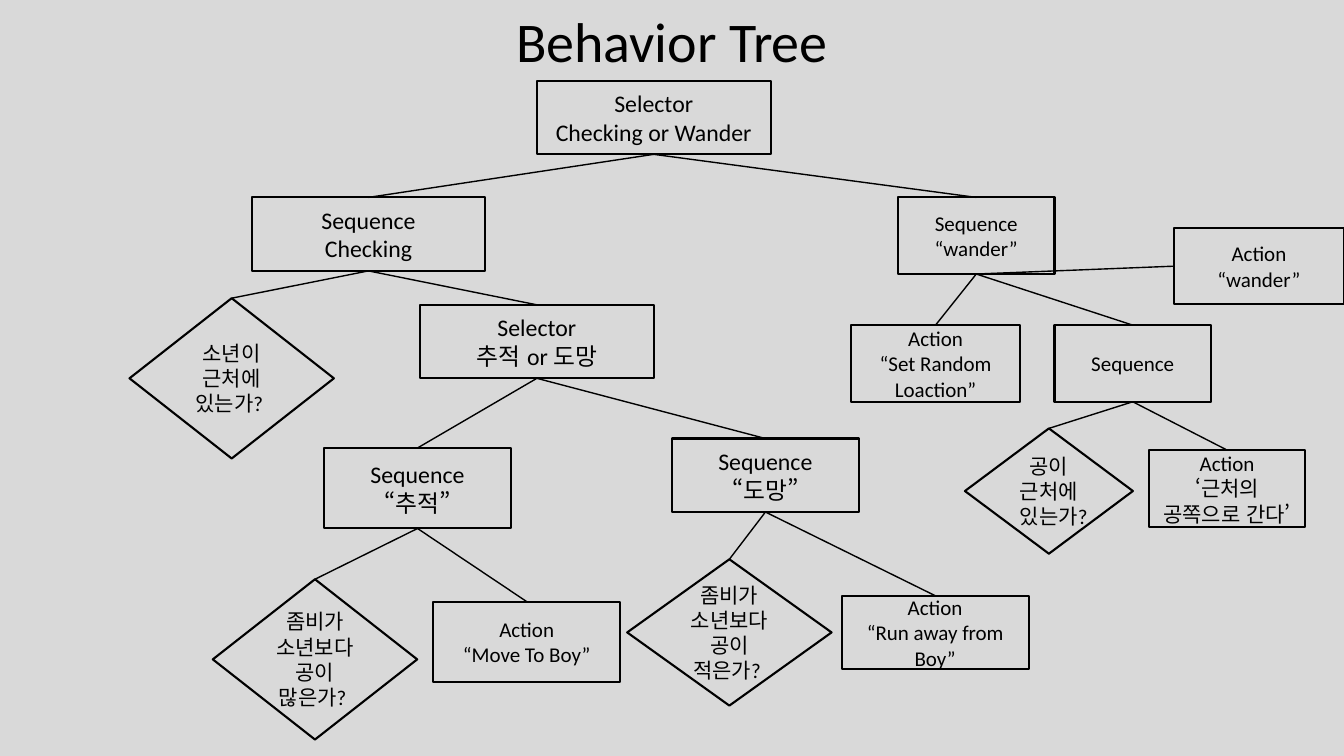
from dataclasses import dataclass

from lxml import etree
from pptx import Presentation
from pptx.dml.color import RGBColor
from pptx.enum.lang import MSO_LANGUAGE_ID
from pptx.enum.shapes import MSO_CONNECTOR, MSO_SHAPE
from pptx.enum.text import MSO_ANCHOR, PP_ALIGN
from pptx.oxml.ns import qn
from pptx.shapes.autoshape import Shape
from pptx.slide import Slide
from pptx.text.text import TextFrame
from pptx.util import Pt

RECTANGLE = MSO_SHAPE.RECTANGLE
DIAMOND = MSO_SHAPE.DIAMOND
STRAIGHT = MSO_CONNECTOR.STRAIGHT
MIDDLE = MSO_ANCHOR.MIDDLE
CENTER = PP_ALIGN.CENTER
KOREAN = MSO_LANGUAGE_ID.KOREAN
ENGLISH = MSO_LANGUAGE_ID.ENGLISH_US
TOP_SITE, LEFT_SITE, BOTTOM_SITE = 0, 1, 2
TITLE_ONLY = 5


@dataclass(frozen=True)
class Theme:
    font: str = "Calibri"
    ink: RGBColor = RGBColor(0x00, 0x00, 0x00)
    background: RGBColor = RGBColor(0xD9, 0xD9, 0xD9)
    title_size: float = 40
    branch_size: float = 17
    leaf_size: float = 15
    outline: float = 1.5
    link: float = 1


THEME = Theme()


@dataclass(frozen=True)
class Node:
    key: str
    parent: str
    text: str
    left: float
    top: float
    width: float
    height: float
    size: float = THEME.leaf_size
    shape: MSO_SHAPE = RECTANGLE
    entry: int = TOP_SITE
    inset: float = 7.2


BRANCH = THEME.branch_size
NODES = [
    Node("root", "", "Selector\nChecking or Wander", 383.5, 57.75, 167, 52.5, BRANCH),
    Node("checking", "root", "Sequence\nChecking", 179.75, 141, 167, 52.5, BRANCH),
    Node("boy near", "checking", "소년이 근처에 있는가? ", 92.5, 213, 146, 114.5, shape=DIAMOND),
    Node("chase or flee", "checking", "Selector\n추적 or 도망", 300, 217.75, 167, 52.5, BRANCH),
    Node("chase", "chase or flee", "Sequence\n“추적”", 231.5, 320, 133.5, 57.5, BRANCH),
    Node("more balls", "chase", "좀비가 소년보다 공이 많은가? ", 152, 413.75, 146, 114.5, shape=DIAMOND),
    Node("move to boy", "chase", "Action\n“Move To Boy”", 309.5, 429.75, 133.5, 57.5),
    Node("flee", "chase or flee", "Sequence\n“도망”", 480, 313.25, 133.5, 52.5, BRANCH),
    Node("fewer balls", "flee", "좀비가 소년보다 공이 적은가? ", 448, 399.5, 146, 104.5, shape=DIAMOND),
    Node("run away", "flee", "Action\n“Run away from Boy”", 601.25, 425.5, 133.5, 52.5),
    Node("wander", "root", "Sequence\n“wander”", 641.5, 141, 111.75, 54.75),
    Node("set location", "wander", "Action\n“Set Random Loaction”", 607.75, 232.25, 121, 54.75),
    Node("ball sequence", "wander", "Sequence", 753.25, 232.25, 111.75, 54.75),
    Node("ball near", "ball sequence", "공이 근처에 있는가?", 689.25, 306, 120, 89.5, shape=DIAMOND),
    Node("go to ball", "ball sequence", "Action\n‘근처의 공쪽으로 간다’", 820.75, 321.5, 111.5, 54.75, inset=4),
    Node("wander action", "wander", "Action\n“wander”", 838.75, 162.75, 121, 54.75, entry=LEFT_SITE),
]


def is_korean(text: str) -> bool:
    return any("가" <= letter <= "힣" for letter in text)


def format_text(frame: TextFrame, size: float) -> None:
    frame.word_wrap = True
    frame.vertical_anchor = MIDDLE
    for para in frame.paragraphs:
        para.alignment = CENTER
        for span in para.runs:
            span.font.name = THEME.font
            span.font.size = Pt(size)
            span.font.color.rgb = THEME.ink
            span.font.language_id = KOREAN if is_korean(span.text) else ENGLISH


def add_title(page: Slide) -> None:
    title = page.shapes.title
    title.left, title.top, title.width, title.height = Pt(72), Pt(0), Pt(816), Pt(57.5)
    title.text_frame.text = "Behavior Tree"
    format_text(title.text_frame, THEME.title_size)


def add_node(page: Slide, node: Node) -> Shape:
    box = page.shapes.add_shape(
        node.shape, Pt(node.left), Pt(node.top), Pt(node.width), Pt(node.height)
    )
    box.shadow.inherit = False
    box.fill.background()
    box.line.color.rgb = THEME.ink
    box.line.width = Pt(THEME.outline)
    frame = box.text_frame
    frame.margin_left = frame.margin_right = Pt(node.inset)
    frame.text = node.text
    format_text(frame, node.size)
    return box


def add_link(page: Slide, parent: Shape, child: Shape, entry: int) -> None:
    link = page.shapes.add_connector(STRAIGHT, Pt(0), Pt(0), Pt(0), Pt(0))
    link.begin_connect(parent, BOTTOM_SITE)
    link.end_connect(child, entry)
    link.line.color.rgb = THEME.ink
    link.line.width = Pt(THEME.link)
    etree.SubElement(link._element.spPr, qn("a:effectLst"))


def main() -> None:
    deck = Presentation()
    deck.slide_width, deck.slide_height = Pt(960), Pt(540)
    page = deck.slides.add_slide(deck.slide_layouts[TITLE_ONLY])
    page.background.fill.solid()
    page.background.fill.fore_color.rgb = THEME.background
    add_title(page)
    boxes: dict[str, Shape] = {}
    for node in NODES:
        boxes[node.key] = add_node(page, node)
        if node.parent:
            add_link(page, boxes[node.parent], boxes[node.key], node.entry)
    deck.save("out.pptx")


if __name__ == "__main__":
    main()
